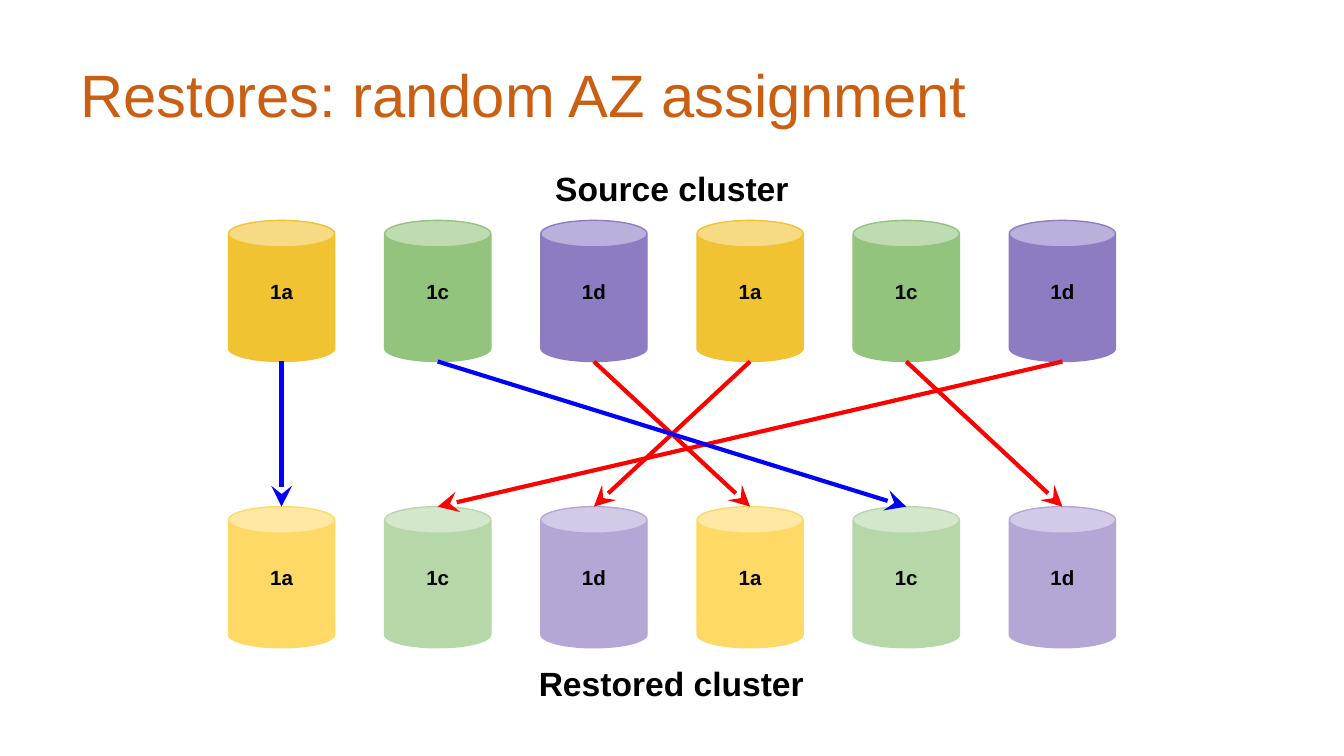
"""Build a slide showing random AZ assignment when a cluster is restored."""
from lxml import etree
from pptx import Presentation
from pptx.dml.color import RGBColor
from pptx.enum.shapes import MSO_CONNECTOR, MSO_SHAPE
from pptx.enum.text import MSO_ANCHOR, PP_ALIGN
from pptx.oxml.ns import qn
from pptx.util import Inches, Pt

CAN, STRAIGHT = MSO_SHAPE.CAN, MSO_CONNECTOR.STRAIGHT
MIDDLE, LEFT, CENTER = MSO_ANCHOR.MIDDLE, PP_ALIGN.LEFT, PP_ALIGN.CENTER

COLORS = {
    "title": "CA5F14", "text": "000000", "same": "0000FF", "moved": "FF0000",
    "source": {"1a": "F1C232", "1c": "93C47D", "1d": "8E7CC3"},
    "restored": {"1a": "FFD966", "1c": "B6D7A8", "1d": "B4A7D6"},
}
TITLE = ("Restores: random AZ assignment", 0.5, 0.23, 9, 0.94)
HEADINGS = [
    ("Source cluster", 3.8, 1.16, 2.4, 0.48),
    ("Restored cluster", 3.82, 4.82, 2.35, 0.52),
]
ZONES = ["1a", "1c", "1d"] * 2
ROWS = {"source": 1.64, "restored": 3.77}
ASSIGNMENTS = [(0, 0), (2, 3), (5, 1), (3, 2), (4, 5), (1, 4)]

FIRST_X, LAST_X = 1.7, 7.51
PITCH = (LAST_X - FIRST_X) / (len(ZONES) - 1)
CAN_W, CAN_H = 0.79, 1.05
LABEL_W, LABEL_H, LABEL_DROP = 0.39, 0.33, 0.36


def rgb(color):
    return RGBColor.from_string(color)


def add_text(s, text, x, y, w, h, size, color=COLORS["text"], bold=True, align=CENTER):
    tf = s.shapes.add_textbox(*map(Inches, (x, y, w, h))).text_frame
    tf.word_wrap = True
    tf.vertical_anchor = MIDDLE
    tf.margin_left = tf.margin_right = tf.margin_top = tf.margin_bottom = Inches(0.1)
    p = tf.paragraphs[0]
    p.text = text
    p.alignment = align
    p.font.name = "Arial"
    p.font.size = Pt(size)
    p.font.bold = bold
    p.font.color.rgb = rgb(color)


def center_x(column):
    return FIRST_X + column * PITCH + CAN_W / 2


def add_node(s, zone, column, y, color):
    x = center_x(column)
    sp = s.shapes.add_shape(CAN, *map(Inches, (x - CAN_W / 2, y, CAN_W, CAN_H)))
    sp.shadow.inherit = False
    sp.adjustments[0] = 0.25
    sp.fill.solid()
    sp.fill.fore_color.rgb = rgb(color)
    sp.line.color.rgb = rgb(color)
    sp.line.width = Pt(0.75)
    add_text(s, zone, x - LABEL_W / 2, y + LABEL_DROP, LABEL_W, LABEL_H, 11)


def add_arrow(s, start, end):
    color = COLORS["same" if ZONES[start] == ZONES[end] else "moved"]
    points = (center_x(start), ROWS["source"] + CAN_H, center_x(end), ROWS["restored"])
    arrow = s.shapes.add_connector(STRAIGHT, *map(Inches, points))
    arrow.line.color.rgb = rgb(color)
    arrow.line.width = Pt(2.25)
    ln = arrow.line._get_or_add_ln()
    etree.SubElement(ln, qn("a:tailEnd"), type="stealth", w="lg", len="lg")
    etree.SubElement(arrow._element.spPr, qn("a:effectLst"))


def main():
    prs = Presentation()
    prs.slide_width = Inches(10)
    prs.slide_height = prs.slide_width * 9 // 16
    s = prs.slides.add_slide(prs.slide_layouts[6])
    add_text(s, *TITLE, 32, COLORS["title"], False, LEFT)
    for heading in HEADINGS:
        add_text(s, *heading, 18)
    for row, y in ROWS.items():
        for column, zone in enumerate(ZONES):
            add_node(s, zone, column, y, COLORS[row][zone])
    for start, end in ASSIGNMENTS:
        add_arrow(s, start, end)
    prs.save("out.pptx")


if __name__ == "__main__":
    main()
